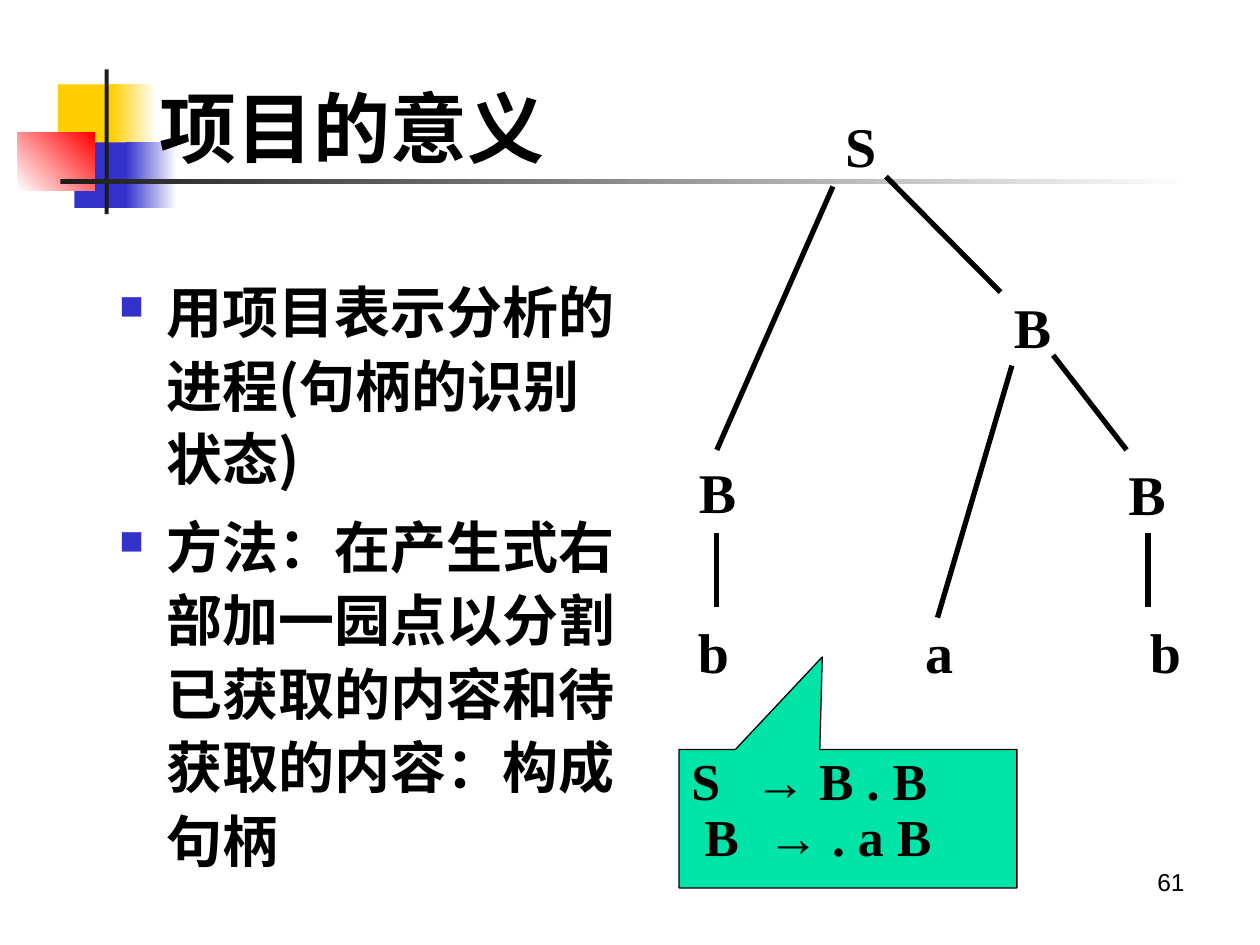
from lxml import etree
from pptx import Presentation
from pptx.dml.color import RGBColor
from pptx.enum import shapes, text
from pptx.oxml.ns import qn
from pptx.util import Cm, Pt

HUES = {
    "black": "000000", "white": "FFFFFF", "gold": "FFCF01", "blue": "3333CC",
    "red": "FF0000", "ink": "1C1C1C", "mint": "00E4A8",
}
SERIF, SANS, HAN = "Times New Roman", "Arial", "Noto Sans CJK SC"


def hue(name):
    return RGBColor.from_string(HUES[name])


def sub(node, tag, **attrs):
    return etree.SubElement(node, qn(tag), attrs)


def write(frame, words, size=32, font=SERIF, bold=True, align="LEFT",
          lead=None, gap=0, bullet=None, insets=((0, 0),), tabs=()):
    for i, line in enumerate(words):
        para = frame.paragraphs[0] if i == 0 else frame.add_paragraph()
        props = para._p.get_or_add_pPr()
        left, first = insets[i % len(insets)]
        props.set("marL", str(Cm(left)))
        props.set("indent", str(Cm(first)))
        if bullet:
            sub(sub(props, "a:buClr"), "a:srgbClr", val=HUES["blue"])
            sub(props, "a:buSzPct", val="60000")
            sub(props, "a:buChar", char=bullet)
        if tabs:
            sub(sub(props, "a:tabLst"), "a:tab", pos=str(Cm(tabs[i])), algn="l")
        para.alignment = getattr(text.PP_ALIGN, align)
        if lead:
            para.line_spacing = lead
        if gap and i:
            para.space_before = Pt(gap)
        run = para.add_run()
        run.text = line
        run.font.size, run.font.name, run.font.bold = Pt(size), font, bold
        run.font.color.rgb = hue("black")
        sub(run._r.get_or_add_rPr(), "a:ea", typeface=HAN)


class Deck:
    def __init__(self):
        self.show = Presentation()
        self.show.slide_width, self.show.slide_height = Cm(25.4), Cm(19.05)
        self.page = self.show.slides.add_slide(self.show.slide_layouts[6])

    def shape(self, kind, box, *fill, angle=0):
        form = self.page.shapes.add_shape(kind, *map(Cm, box))
        form.shadow.inherit = False
        form.line.fill.background()
        if len(fill) == 1:
            form.fill.solid()
            form.fill.fore_color.rgb = hue(fill[0])
        else:
            form.fill.gradient()
            form.fill.gradient_angle = angle
            for stop, name, spot in zip(form.fill.gradient_stops, fill, (0, 1)):
                stop.color.rgb = hue(name)
                stop.position = spot
        return form

    def block(self, box, *fill, angle=0):
        return self.shape(shapes.MSO_SHAPE.RECTANGLE, box, *fill, angle=angle)

    def label(self, box, *words, wrap=True, anchor="TOP", **style):
        frame = self.page.shapes.add_textbox(*map(Cm, box)).text_frame
        frame.word_wrap = wrap
        frame.vertical_anchor = getattr(text.MSO_ANCHOR, anchor)
        write(frame, words, **style)

    def edge(self, *ends):
        line = self.page.shapes.add_connector(
            shapes.MSO_CONNECTOR.STRAIGHT, *map(Cm, ends))
        line.line.color.rgb = hue("black")
        line.line.width = Pt(3)
        sub(line._element.spPr, "a:effectLst")

    def callout(self, box, tip, *words, **style):
        form = self.shape(shapes.MSO_SHAPE.RECTANGULAR_CALLOUT, box, "mint")
        form.adjustments[0], form.adjustments[1] = tip
        form.line.color.rgb = hue("black")
        form.line.width = Pt(0.75)
        form.text_frame.word_wrap = True
        form.text_frame.vertical_anchor = text.MSO_ANCHOR.TOP
        write(form.text_frame, words, **style)


def main():
    deck = Deck()
    deck.block((1.17, 1.7, 1.22, 1.32), "gold")
    deck.block((2.24, 1.7, 0.91, 1.32), "gold", "white")
    deck.block((1.5, 2.87, 1.17, 1.32), "blue")
    deck.block((2.54, 2.87, 1.02, 1.32), "blue", "white")
    deck.block((0.36, 2.67, 1.55, 1.17), "white", "red", angle=45)
    deck.block((2.11, 1.4, 0.08, 2.92), "ink")
    deck.block((1.22, 3.61, 22.86, 0.1), "ink", "white")

    deck.label((18.21, 17.35, 5.92, 1.32), "61",
               size=14, font=SANS, bold=False, align="RIGHT")
    deck.label((2.97, 0.97, 8.69, 3.18), "项目的意义", size=44, anchor="MIDDLE")
    deck.label((1.9, 5.35, 10.97, 11.38),
               "用项目表示分析的进程(句柄的识别状态)",
               "方法：在产生式右部加一园点以分割已获取的内容和待获取的内容：构成句柄",
               font=HAN, lead=Pt(42), gap=8, bullet="■", insets=((1.2, -0.95),))

    for name, left, top in (("b", 13.82, 12.32), ("a", 18.4, 12.32),
                            ("b", 22.93, 12.32), ("B", 13.84, 9.09),
                            ("B", 22.5, 9.14), ("B", 20.19, 5.77),
                            ("S", 16.79, 2.13)):
        deck.label((left, top, 1.24, 1.63), name, wrap=False)
    for ends in ((14.45, 10.74, 14.45, 12.24), (23.14, 10.74, 23.14, 12.24),
                 (16.79, 3.76, 14.45, 9.07), (20.4, 7.37, 18.9, 12.45),
                 (21.23, 7.16, 22.71, 9.07), (17.86, 3.56, 20.17, 5.89)):
        deck.edge(*ends)

    deck.callout((13.69, 15.11, 6.81, 2.79), (-0.076, -1.169),
                 "S\t→ B . B", "B\t→ . a B", size=29.6, lead=0.9,
                 insets=((0, 0), (0.26, 0)), tabs=(1.1, 1.48))
    deck.show.save("out.pptx")


if __name__ == "__main__":
    main()
